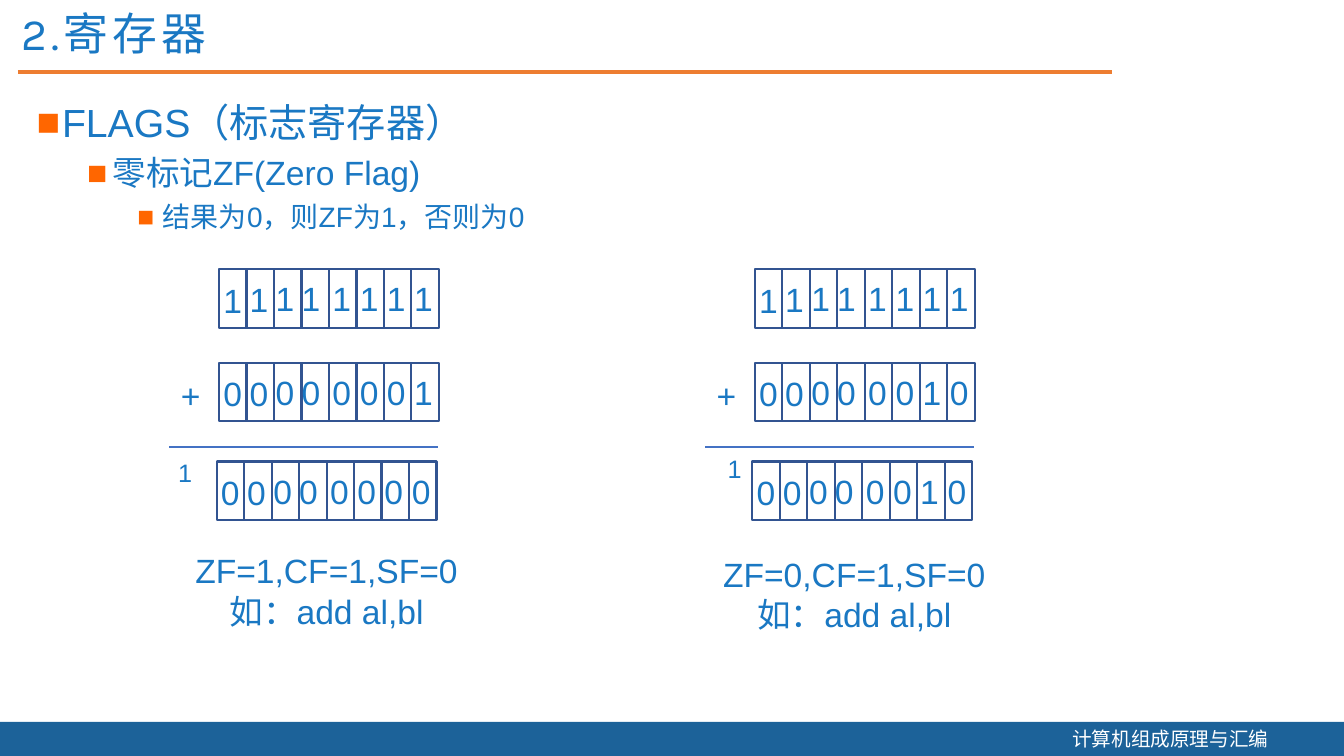
from lxml import etree
from pptx import Presentation
from pptx.dml.color import RGBColor
from pptx.enum.shapes import MSO_CONNECTOR as Connector, MSO_SHAPE as Shape
from pptx.enum.text import MSO_ANCHOR as Anchor, MSO_AUTO_SIZE as AutoSize, PP_ALIGN as Align
from pptx.oxml.ns import qn
from pptx.util import Cm, Pt

COLORS = {
    "text": "1A78C3", "bullet": "FF6600", "rule": "ED7D31", "footer": "1C6299",
    "white": "FFFFFF", "cell": "325491", "sum_line": "4472C4",
}
COLORS = {name: RGBColor.from_string(value) for name, value in COLORS.items()}

presentation = Presentation()
presentation.slide_width, presentation.slide_height = Cm(33.87), Cm(19.05)
slide = presentation.slides.add_slide(presentation.slide_layouts[1])
shapes = slide.shapes


def add_text(text, left, top, width, height, size=24, font="Arial", color="text", align=Align.LEFT):
    box = shapes.add_textbox(Cm(left), Cm(top), Cm(width), Cm(height))
    box.text_frame.word_wrap = True
    box.text_frame.text = text
    for paragraph in box.text_frame.paragraphs:
        paragraph.alignment = align
        paragraph.font.size = Pt(size)
        paragraph.font.name = font
        paragraph.font.color.rgb = COLORS[color]


def add_line(left, right, y, color, width):
    """Draw a horizontal line without a shadow."""
    line = shapes.add_connector(Connector.STRAIGHT, Cm(left), Cm(y), Cm(right), Cm(y))
    line.line.color.rgb = COLORS[color]
    line.line.width = Pt(width)
    etree.SubElement(line._element.spPr, qn("a:effectLst"))


# Footer band and title rule
footer = shapes.add_shape(Shape.RECTANGLE, 0, Cm(18.19), presentation.slide_width, Cm(0.86))
footer.shadow.inherit = False
footer.fill.solid()
footer.fill.fore_color.rgb = COLORS["footer"]
footer.line.fill.background()
add_text("计算机组成原理与汇编", 26.77, 18.19, 5.5, 0.86, 14, "Noto Sans CJK SC", "white")
add_line(0.45, 28.03, 1.81, "rule", 3)

# Title
title = shapes.title
title.left, title.top, title.width, title.height = Cm(0.28), Cm(0.18), Cm(27.05), Cm(1.22)
title_frame = title.text_frame
title_frame.auto_size = AutoSize.NONE
title_frame.vertical_anchor = Anchor.TOP
title_frame.text = "2.寄存器"
paragraph = title_frame.paragraphs[0]
paragraph.alignment = Align.LEFT
paragraph.line_spacing = 0.9
paragraph.font.size = Pt(32)
paragraph.font.name = "Karla"
paragraph.font.color.rgb = COLORS["text"]
paragraph.runs[0].font._element.set("spc", "300")

# Bulleted list
body = slide.placeholders[1]
body.left, body.top, body.width, body.height = Cm(0.67), Cm(2.35), Cm(32.87), Cm(15.42)
body.text_frame.auto_size = AutoSize.NONE
items = [("FLAGS（标志寄存器）", 28), ("零标记ZF(Zero Flag)", 24), ("结果为0，则ZF为1，否则为0", 20)]
body.text_frame.text = "\n".join(text for text, size in items)
for level, (paragraph, (text, size)) in enumerate(zip(body.text_frame.paragraphs, items)):
    paragraph.level = level
    properties = paragraph._p.get_or_add_pPr()
    properties.set("marL", str(Cm(0.64 + 1.27 * level)))
    properties.set("indent", str(Cm(-0.64)))
    bullet_color = etree.SubElement(properties, qn("a:buClr"))
    etree.SubElement(bullet_color, qn("a:srgbClr"), val=str(COLORS["bullet"]))
    etree.SubElement(properties, qn("a:buFont"), typeface="Arial")
    etree.SubElement(properties, qn("a:buChar"), char="■")
    paragraph.space_before = Pt(5 if level else 0)
    paragraph.font.size = Pt(size)
    paragraph.font.name = "Arial"
    paragraph.font.color.rgb = COLORS["text"]

# Two binary additions: left edge, three rows of bits, carry place, caption and its place
additions = [
    (5.52, ["11111111", "00000001", "00000000"], (4.24, 11.4),
     "ZF=1,CF=1,SF=0\n如：add al,bl", (3.91, 13.74, 8.64)),
    (19.02, ["11111111", "00000010", "00000010"], (18.09, 11.3),
     "ZF=0,CF=1,SF=0\n如：add al,bl", (16.59, 13.83, 9.88)),
]
row_places = [(0, 6.78), (0, 9.14), (-0.06, 11.63)]
row_width, cell_height = 5.54, 1.48
cell_width = row_width / 8
# Column, offset from the row's left edge, offset from its top
digit_places = [
    (6, 3.98, 0.11), (7, 4.67, 0.11), (5, 3.3, 0.11), (4, 2.61, 0.11),
    (3, 1.83, 0.11), (2, 1.18, 0.11), (1, 0.52, 0.13), (0, -0.14, 0.14),
]

for left, rows, carry_place, caption, caption_place in additions:
    for bits, (shift, top) in zip(rows, row_places):
        for column in range(len(bits)):
            cell = shapes.add_shape(Shape.RECTANGLE, Cm(left + shift + column * cell_width),
                                    Cm(top), Cm(cell_width), Cm(cell_height))
            cell.shadow.inherit = False
            cell.fill.background()
            cell.line.color.rgb = COLORS["cell"]
            cell.line.width = Pt(1.5)
        for column, offset, drop in digit_places:
            add_text(bits[column], left + shift + offset, top + drop, 1, 1.27)
    add_line(left - 1.25, left + 5.53, 11.26, "sum_line", 1.75)
    add_text("+", left - 1.21, 9.32, 1.02, 1.27)
    add_text(caption, *caption_place, 2.31, align=Align.CENTER)

for left, rows, carry_place, caption, caption_place in reversed(additions):
    add_text("1", *carry_place, 0.86, 1.02, size=18)

presentation.save("out.pptx")
